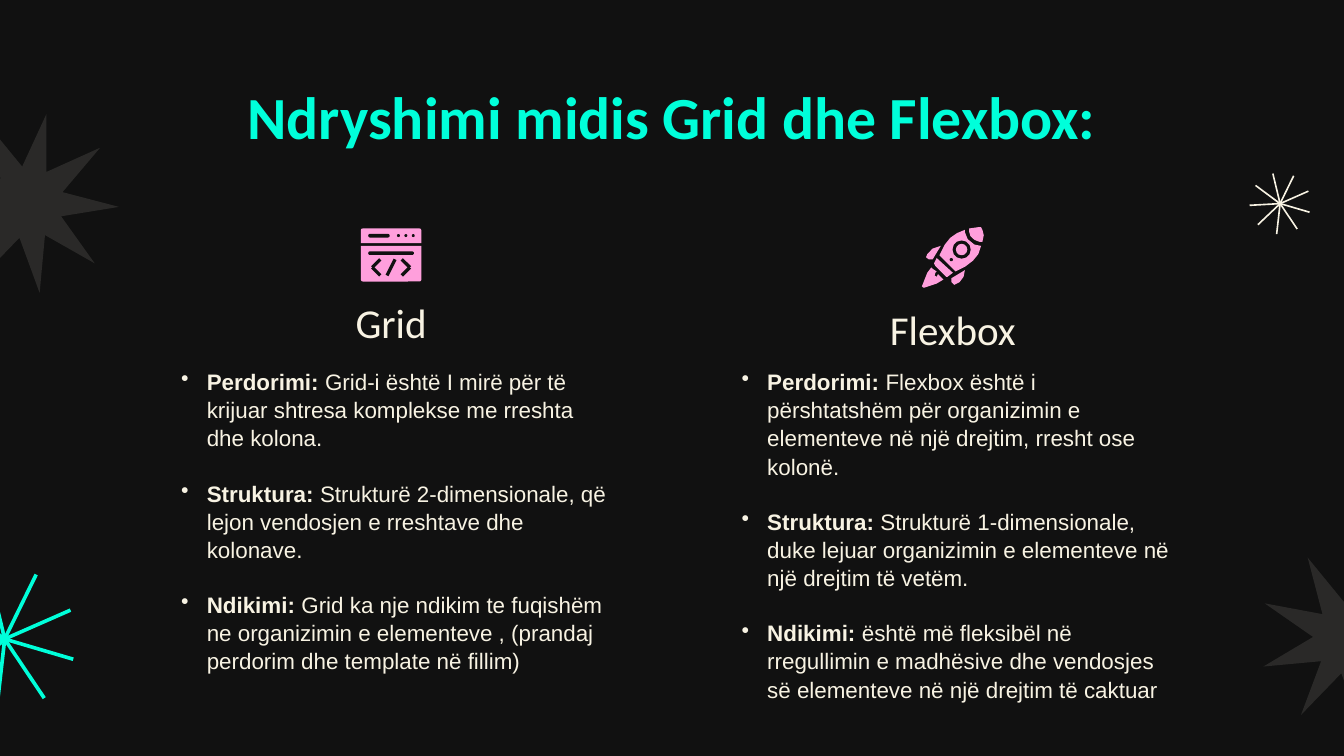
from dataclasses import dataclass
from math import hypot

from lxml.etree import SubElement
from pptx import Presentation
from pptx.dml.color import RGBColor
from pptx.enum.shapes import MSO_SHAPE as Form
from pptx.enum.text import MSO_ANCHOR as Anchor, MSO_AUTO_SIZE as Fit, PP_ALIGN as Align
from pptx.oxml.ns import qn
from pptx.util import Inches, Pt

COLS, ROWS = 1000, 562.5  # the slide as a fine grid
CELL = Inches(10) // COLS
Point = tuple[float, float]
Box = tuple[float, float, float, float]


@dataclass(frozen=True)
class Theme:
    back: str = "111111"
    mint: str = "00FFDA"
    cream: str = "F8F3E3"
    pink: str = "FF9FDC"
    head: str = "Calibri"
    body: str = "Arial"
    title: int = 32
    name: int = 22
    text: int = 12
    line: float = 1.05
    gap: float = 14.4
    faint: int = 11  # opacity of the bursts, percent


@dataclass(frozen=True)
class Spark:
    hub: Point
    scale: float
    width: float
    color: str


@dataclass(frozen=True)
class Topic:
    name: str
    head: Box
    body: Box
    items: tuple[tuple[str, str], ...]


T = Theme()
PAD = 10

RAYS = [(-6, 53), (-38.5, 36.5), (-53, 3), (-42.5, -31.5), (-12.5, -52),
        (23.5, -48), (49, -21.5), (51, 15), (29.5, 44)]
SPARKS = [Spark((3.5, 475.5), 1, 2.7, T.mint),
          Spark((952.5, 151.5), 0.43, 1.2, T.cream)]

BURST = [(-32, -60), (-21, -18), (-64, -26), (-28, -1), (-65, 21), (-22, 17),
         (-37, 57), (-7, 26), (8, 67), (12, 24), (49, 45), (24, 10), (67, 3),
         (25, -8), (53, -41), (13, -23), (13, -66), (-5, -27)]
HUBS = [(1005, 475), (21.5, 151)]

TOPICS = [
    Topic("Grid", (122, 207, 338, 61), (125, 263, 338, 255), (
        ("Perdorimi: ", "Grid-i është I mirë për të krijuar shtresa komplekse "
         "me rreshta dhe kolona."),
        ("Struktura: ", "Strukturë 2-dimensionale, që lejon vendosjen e "
         "rreshtave dhe kolonave."),
        ("Ndikimi: ", "Grid ka nje ndikim te fuqishëm ne organizimin e "
         "elementeve , (prandaj perdorim dhe template në fillim)"))),
    Topic("Flexbox", (540, 212, 338, 61), (542, 263, 338, 255), (
        ("Perdorimi: ", "Flexbox është i përshtatshëm për organizimin e "
         "elementeve në një drejtim, rresht ose kolonë."),
        ("Struktura: ", "Strukturë 1-dimensionale, duke lejuar organizimin e "
         "elementeve në një drejtim të vetëm."),
        ("Ndikimi: ", "është më fleksibël në rregullimin e madhësive dhe "
         "vendosjes së elementeve në një drejtim të caktuar"))),
]

ROCKET = {
    "nose": [(721, 170), (728, 169), (730, 169), (731, 171), (732, 175),
             (731, 180), (729, 180), (725, 178.5), (722, 175.5), (721, 172)],
    "hull": [(718, 171), (712, 173.5), (707, 177), (703, 182), (699, 190),
             (711, 202), (718, 198.5), (724, 194), (728, 189), (730, 183),
             (725, 182), (720, 178), (718, 173)],
    "band": [(697, 192), (695, 196), (696, 198), (703, 205), (704, 206),
             (705, 206), (709, 203)],
    "left fin": [(700, 183), (694, 185), (690, 189), (689, 191.5), (691, 193),
                 (694, 193), (697, 188)],
    "right fin": [(718, 201), (713, 204), (708, 207), (708, 210), (710, 212),
                  (714, 210), (717, 206)],
    "flame": [(693, 199), (690, 203), (686, 213), (687, 214), (688, 214),
              (697, 211), (702, 208), (701, 207), (698, 204), (697, 206),
              (695.5, 205), (696, 203), (697, 202), (694, 200)],
}


def emu(*cells: float) -> list[int]:
    return [round(c * CELL) for c in cells]


def paint(shape, color: str) -> None:
    shape.shadow.inherit = False
    shape.fill.solid()
    shape.fill.fore_color.rgb = RGBColor.from_string(color)
    shape.line.fill.background()


def outline(slide, points: list[Point], color: str):
    first, *rest = [emu(*p) for p in points]
    pen = slide.shapes.build_freeform(*first)
    pen.add_line_segments(rest, close=True)
    shape = pen.convert_to_shape()
    paint(shape, color)
    return shape


def preset(slide, form: Form, box: Box, color: str):
    shape = slide.shapes.add_shape(form, *emu(*box))
    paint(shape, color)
    return shape


def bar(slide, box: Box) -> None:
    preset(slide, Form.ROUNDED_RECTANGLE, box, T.back).adjustments[0] = 0.5


def disc(slide, mid: Point, size: float, color: str) -> None:
    x, y = mid
    preset(slide, Form.OVAL, (x - size / 2, y - size / 2, size, size), color)


def stroke(slide, start: Point, end: Point, width: float, color: str) -> None:
    """Draw a straight band as a four-sided outline."""
    (x, y), (u, v) = start, end
    k = width / 2 / hypot(u - x, v - y)
    dx, dy = (y - v) * k, (u - x) * k
    outline(slide, [(x + dx, y + dy), (u + dx, v + dy),
                    (u - dx, v - dy), (x - dx, y - dy)], color)


def spark(slide, s: Spark) -> None:
    x, y = s.hub
    for dx, dy in RAYS:
        stroke(slide, s.hub, (x + dx * s.scale, y + dy * s.scale), s.width, s.color)


def burst(slide, hub: Point) -> None:
    star = outline(slide, [(hub[0] + x, hub[1] + y) for x, y in BURST], T.cream)
    tint = star.fill._xPr.find(".//" + qn("a:srgbClr"))
    SubElement(tint, qn("a:alpha"), val=str(T.faint * 1000))


def window(slide) -> None:
    top = preset(slide, Form.ROUND_2_SAME_RECTANGLE, (268.5, 170, 45, 11), T.pink)
    top.adjustments[0] = 0.12
    page = preset(slide, Form.ROUND_2_SAME_RECTANGLE, (268.5, 183, 45, 26.5), T.pink)
    page.adjustments[0], page.adjustments[1] = 0, 0.06
    bar(slide, (274, 174, 16, 2.7))
    bar(slide, (274, 187, 34, 2.7))
    for x in (296.5, 302, 307.5):
        disc(slide, (x, 175.3), 2.2, T.back)
    stroke(slide, (294, 193), (288, 205), 2.4, T.back)
    for x, way in ((277, 1), (305, -1)):
        for y in (193, 205):
            stroke(slide, (x, 199), (x + 6 * way, y), 2.4, T.back)


def rocket(slide) -> None:
    for part in ROCKET.values():
        outline(slide, part, T.pink)
    disc(slide, (715.5, 185.7), 13.5, T.back)
    disc(slide, (715.5, 185.7), 8.5, T.pink)
    disc(slide, (707.8, 193.2), 2.4, T.back)


def place(shape, box: Box, anchor: Anchor):
    """Set the box and margins, and return its text frame."""
    shape.left, shape.top, shape.width, shape.height = emu(*box)
    frame = shape.text_frame
    frame.auto_size, frame.word_wrap = Fit.NONE, True
    frame.vertical_anchor = anchor
    pad, = emu(PAD)
    frame.margin_left = frame.margin_right = pad
    frame.margin_top = frame.margin_bottom = pad
    return frame


def style(para, face: str, size: int, color: str, bold: bool | None = None) -> None:
    font = para.font
    font.name, font.size, font.bold = face, Pt(size), bold
    font.color.rgb = RGBColor.from_string(color)


def bullet(para) -> None:
    props = para._p.get_or_add_pPr()
    hang, = emu(19)
    props.set("marL", str(hang))
    props.set("indent", str(-hang))
    tint = SubElement(props, qn("a:buClr"))
    SubElement(tint, qn("a:srgbClr"), val=T.cream)
    SubElement(props, qn("a:buChar"), char="•")


def label(shape, box: Box, text: str, anchor: Anchor, size: int, color: str,
          bold: bool) -> None:
    para = place(shape, box, anchor).paragraphs[0]
    para.text, para.alignment = text, Align.CENTER
    style(para, T.head, size, color, bold)


def topic(slide, t: Topic) -> None:
    add = slide.shapes.add_textbox
    label(add(0, 0, 0, 0), t.head, t.name, Anchor.BOTTOM, T.name, T.cream, False)
    frame = place(add(0, 0, 0, 0), t.body, Anchor.TOP)
    for i, (key, text) in enumerate(t.items):
        para = frame.add_paragraph() if i else frame.paragraphs[0]
        bullet(para)
        para.line_spacing = T.line
        if i:
            para.space_before = Pt(T.gap)
        style(para, T.body, T.text, T.cream)
        for words, bold in ((key, True), (text, False)):
            run = para.add_run()
            run.text, run.font.bold = words, bold


def main() -> None:
    deck = Presentation()
    deck.slide_width, deck.slide_height = emu(COLS, ROWS)
    slide = deck.slides.add_slide(deck.slide_layouts[5])
    slide.background.fill.solid()
    slide.background.fill.fore_color.rgb = RGBColor.from_string(T.back)
    for s in SPARKS:
        spark(slide, s)
    for hub in HUBS:
        burst(slide, hub)
    label(slide.shapes.title, (78.5, 49, 843, 63), "Ndryshimi midis Grid dhe Flexbox:",
          Anchor.TOP, T.title, T.mint, True)
    for t in TOPICS:
        topic(slide, t)
    window(slide)
    rocket(slide)
    deck.save("out.pptx")


if __name__ == "__main__":
    main()
